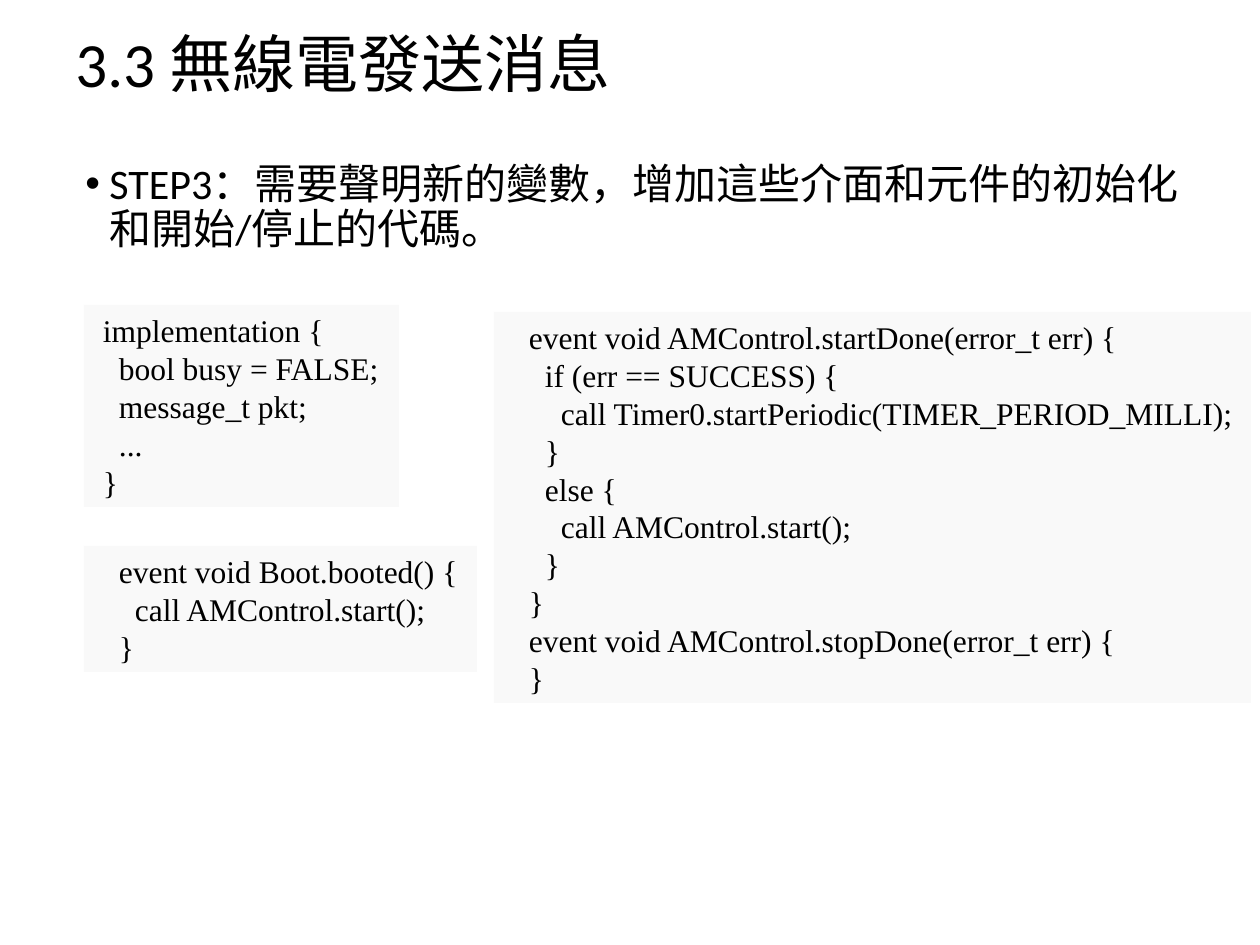
"""Build the slide on sending radio messages, with three code panels."""
from pptx import Presentation, util as u
from pptx.dml.color import RGBColor
from pptx.enum import shapes, text
from pptx.oxml import parse_xml
from pptx.oxml.ns import nsdecls

TITLE = "3.3 無線電發送消息"
STEP = "STEP3：需要聲明新的變數，增加這些介面和元件的初始化和開始/停止的代碼。"
PANELS = [
    ((84, 305, 315, 202), [
        (0, "implementation {"),
        (1, "bool busy = FALSE;"),
        (1, "message_t pkt;"),
        (1, "..."),
        (0, "}"),
    ]),
    ((84, 546, 393, 126), [
        (1, "event void Boot.booted() {"),
        (2, "call AMControl.start();"),
        (1, "}"),
    ]),
    ((494, 312, 757, 391), [
        (1, "event void AMControl.startDone(error_t err) {"),
        (2, "if (err == SUCCESS) {"),
        (3, "call Timer0.startPeriodic(TIMER_PERIOD_MILLI);"),
        (2, "}"),
        (2, "else {"),
        (3, "call AMControl.start();"),
        (2, "}"),
        (1, "}"),
        (1, "event void AMControl.stopDone(error_t err) {"),
        (1, "}"),
    ]),
]
THEME = {
    "ink": RGBColor(0, 0, 0),
    "panel": RGBColor(0xF9, 0xF9, 0xF9),
    "title": ("Calibri", 36),
    "body": ("Calibri", 24),
    "code": ("Times New Roman", 18),
}
PX = u.Inches(1) // 126
INDENT = 16
HANG = 24


def px(*vals):
    return [val * PX for val in vals]


def write(para, words, role):
    para.text = words
    para.alignment = text.PP_ALIGN.LEFT
    font = para.font
    font.name, size = THEME[role]
    font.size = u.Pt(size)
    font.color.rgb = THEME["ink"]


def add_text(slide, box, words, role):
    frame = slide.shapes.add_textbox(*px(*box)).text_frame
    frame.word_wrap = True
    para = frame.paragraphs[0]
    write(para, words, role)
    para.line_spacing = 0.9
    return frame


def add_bullet(para):
    props = para._p.get_or_add_pPr()
    props.set("marL", str(HANG * PX))
    props.set("indent", str(-HANG * PX))
    for tag in ('buFont typeface="Arial"', 'buChar char="•"'):
        props.append(parse_xml(f"<a:{tag} {nsdecls('a')}/>"))


def add_code(slide, box, lines):
    panel = slide.shapes.add_shape(shapes.MSO_SHAPE.RECTANGLE, *px(*box))
    panel.shadow.inherit = False
    panel.fill.solid()
    panel.fill.fore_color.rgb = THEME["panel"]
    panel.line.fill.background()
    frame = panel.text_frame
    frame.word_wrap = True
    frame.vertical_anchor = text.MSO_ANCHOR.MIDDLE
    frame.margin_left, frame.margin_right = px(19, 0)
    frame.margin_top, frame.margin_bottom = px(6, 6)
    for row, (depth, words) in enumerate(lines):
        para = frame.add_paragraph() if row else frame.paragraphs[0]
        write(para, words, "code")
        para.line_spacing = u.Pt(21.6)
        para._p.get_or_add_pPr().set("marL", str(depth * INDENT * PX))


def main():
    deck = Presentation()
    deck.slide_width, deck.slide_height = px(1260, 945)
    slide = deck.slides.add_slide(deck.slide_layouts[6])
    head = add_text(slide, (63, 38, 1143, 58), TITLE, "title")
    head.vertical_anchor = text.MSO_ANCHOR.MIDDLE
    step = add_text(slide, (73, 157, 1134, 116), STEP, "body").paragraphs[0]
    step.space_before = u.Pt(7.5)
    add_bullet(step)
    for box, lines in PANELS:
        add_code(slide, box, lines)
    deck.save("out.pptx")


if __name__ == "__main__":
    main()
